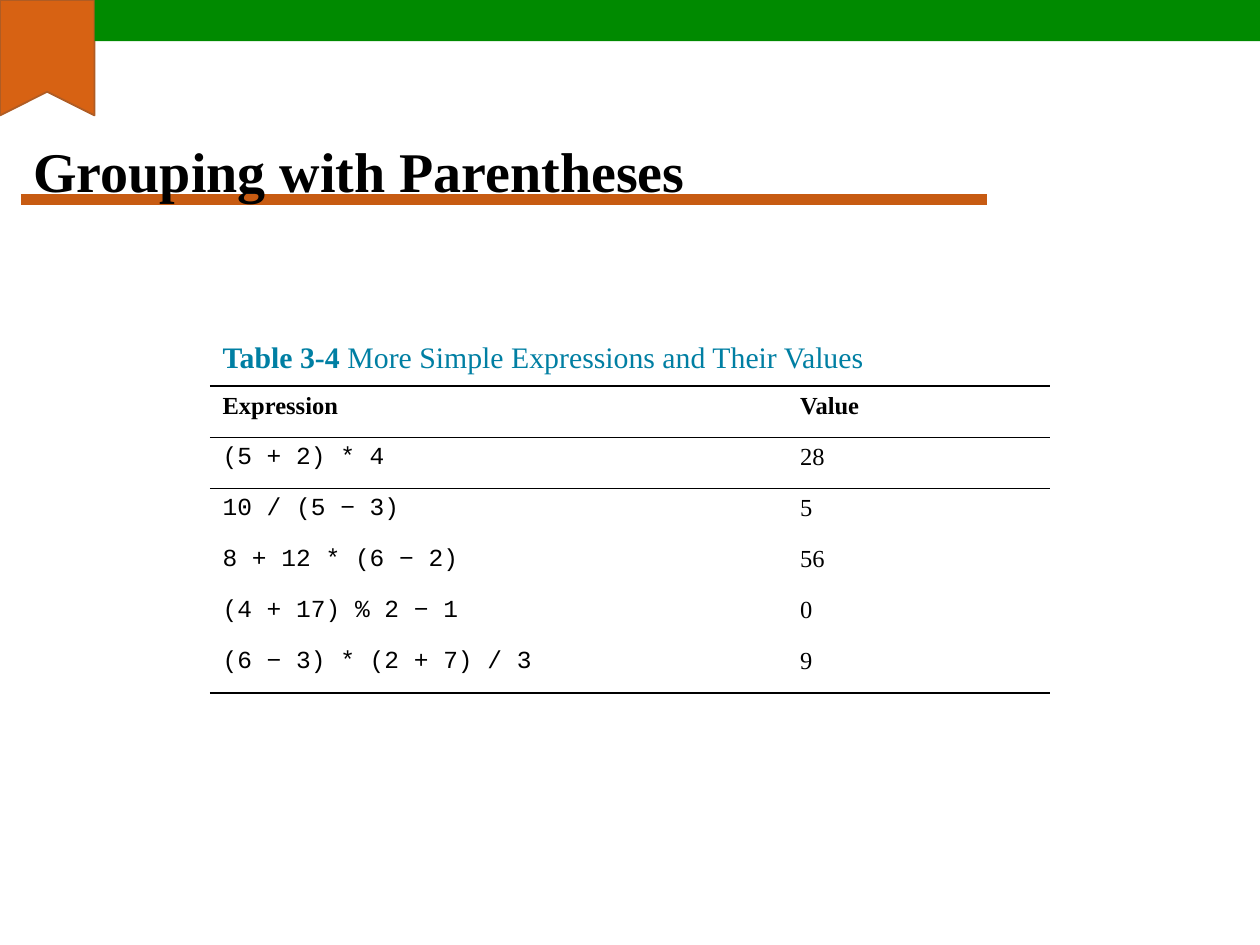
"""Build the slide on grouping with parentheses."""
from dataclasses import dataclass

from lxml import etree
from pptx import Presentation
from pptx.dml.color import RGBColor
from pptx.enum.shapes import MSO_CONNECTOR, MSO_SHAPE
from pptx.enum.text import MSO_ANCHOR
from pptx.oxml.ns import qn
from pptx.util import Pt

STRAIGHT = MSO_CONNECTOR.STRAIGHT
RECTANGLE = MSO_SHAPE.RECTANGLE
MIDDLE = MSO_ANCHOR.MIDDLE

BLACK = RGBColor(0x00, 0x00, 0x00)
GREEN = RGBColor(0x00, 0x8A, 0x00)
ORANGE = RGBColor(0xD7, 0x62, 0x13)
RUST = RGBColor(0xAF, 0x5C, 0x24)
RULE = RGBColor(0xC7, 0x5B, 0x12)
TEAL = RGBColor(0x00, 0x7F, 0xA3)

SERIF = "Times New Roman"
MONO = "Courier New"
PLAIN_STYLE = "{2D5ABB26-0587-4C30-8999-92F81FD0307C}"
COLUMN_WIDTHS = (330, 150)
ROW_HEIGHT = 29.2
RIBBON = ((0, 0), (54, 0), (54, 66), (27, 52.5), (0, 66))


@dataclass(frozen=True)
class Style:
    size: float
    font: str = SERIF
    color: RGBColor = BLACK
    bold: bool = False


@dataclass(frozen=True)
class Row:
    expression: str
    value: str


HEADING = Style(32, bold=True)
CAPTION_LABEL = Style(17, color=TEAL, bold=True)
CAPTION = Style(17, color=TEAL)
HEADER = Style(14, bold=True)
CODE = Style(14, font=MONO)
VALUE = Style(14)

ROWS = (
    Row("Expression", "Value"),
    Row("(5 + 2) * 4", "28"),
    Row("10 / (5 − 3)", "5"),
    Row("8 + 12 * (6 − 2)", "56"),
    Row("(4 + 17) % 2 − 1", "0"),
    Row("(6 − 3) * (2 + 7) / 3", "9"),
)


def add_run(p, text: str, style: Style) -> None:
    """Add one styled run to a paragraph."""
    r = p.add_run()
    r.text = text
    r.font.size = Pt(style.size)
    r.font.name = style.font
    r.font.bold = style.bold
    r.font.color.rgb = style.color


def set_border(cell, tag: str) -> None:
    """Give a cell a thin black border on one side."""
    ln = etree.Element(qn(tag), w=str(Pt(1)))
    fill = etree.SubElement(ln, qn("a:solidFill"))
    etree.SubElement(fill, qn("a:srgbClr"), val=str(BLACK))
    cell._tc.get_or_add_tcPr().insert(0, ln)


def add_decoration(s) -> None:
    """Draw the title rule, the corner ribbon and the top bar."""
    rule = s.shapes.add_connector(STRAIGHT, Pt(12), Pt(114), Pt(564), Pt(114))
    rule.line.color.rgb = RULE
    rule.line.width = Pt(6)
    etree.SubElement(rule._element.spPr, qn("a:effectLst"))

    points = [(Pt(x), Pt(y)) for x, y in RIBBON]
    builder = s.shapes.build_freeform(*points[0])
    builder.add_line_segments(points[1:], close=True)
    ribbon = builder.convert_to_shape()
    ribbon.shadow.inherit = False
    ribbon.fill.solid()
    ribbon.fill.fore_color.rgb = ORANGE
    ribbon.line.color.rgb = RUST
    ribbon.line.width = Pt(1)

    bar = s.shapes.add_shape(RECTANGLE, Pt(54), Pt(0), Pt(666), Pt(23.5))
    bar.shadow.inherit = False
    bar.fill.solid()
    bar.fill.fore_color.rgb = GREEN
    bar.line.fill.background()


def add_title(s) -> None:
    """Add the slide heading."""
    tf = s.shapes.add_textbox(Pt(12), Pt(54), Pt(648), Pt(86.4)).text_frame
    tf.word_wrap = True
    tf.vertical_anchor = MIDDLE
    add_run(tf.paragraphs[0], "Grouping with Parentheses", HEADING)


def add_expressions(s) -> None:
    """Add the table of expressions with its caption row."""
    count = len(ROWS) + 1
    frame = s.shapes.add_table(count, len(COLUMN_WIDTHS), Pt(120), Pt(191.5),
                               Pt(sum(COLUMN_WIDTHS)), Pt(count * ROW_HEIGHT))
    table = frame.table
    table.first_row = False
    table.horz_banding = False
    table._tbl.tblPr.find(qn("a:tableStyleId")).text = PLAIN_STYLE
    for column, width in zip(table.columns, COLUMN_WIDTHS):
        column.width = Pt(width)
    for table_row in table.rows:
        table_row.height = Pt(ROW_HEIGHT)

    caption = table.cell(0, 0)
    caption.merge(table.cell(0, 1))
    p = caption.text_frame.paragraphs[0]
    add_run(p, "Table 3-4 ", CAPTION_LABEL)
    add_run(p, "More Simple Expressions and Their Values", CAPTION)

    for i, row in enumerate(ROWS, start=1):
        styles = (HEADER, HEADER) if i == 1 else (CODE, VALUE)
        for j, text in enumerate((row.expression, row.value)):
            add_run(table.cell(i, j).text_frame.paragraphs[0], text, styles[j])

    for i in range(count):
        for j in range(len(COLUMN_WIDTHS)):
            cell = table.cell(i, j)
            cell.fill.background()
            if i in (0, 1, count - 1):
                set_border(cell, "a:lnB")
            if i in (1, 2):
                set_border(cell, "a:lnT")


def main() -> None:
    """Create and save the presentation."""
    prs = Presentation()
    prs.slide_width, prs.slide_height = Pt(720), Pt(540)
    s = prs.slides.add_slide(prs.slide_layouts[6])
    add_decoration(s)
    add_title(s)
    add_expressions(s)
    prs.save("out.pptx")


main()
